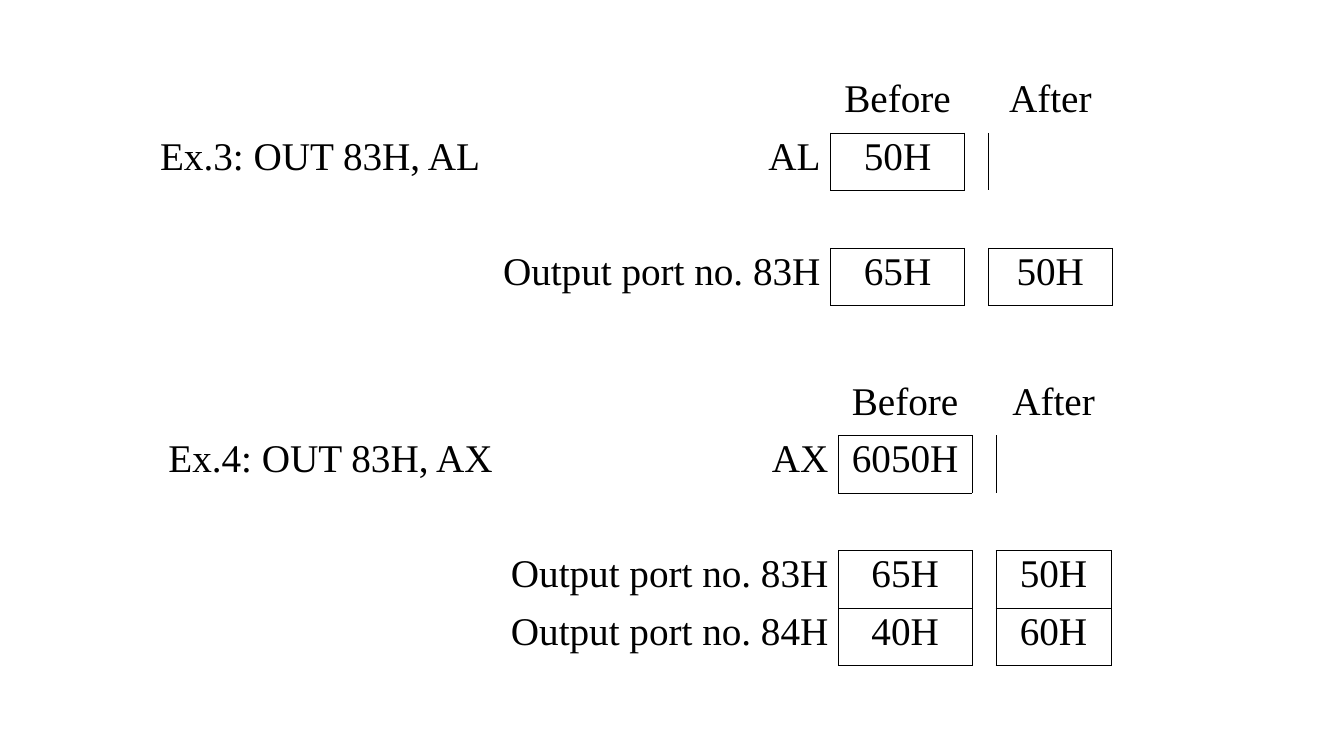
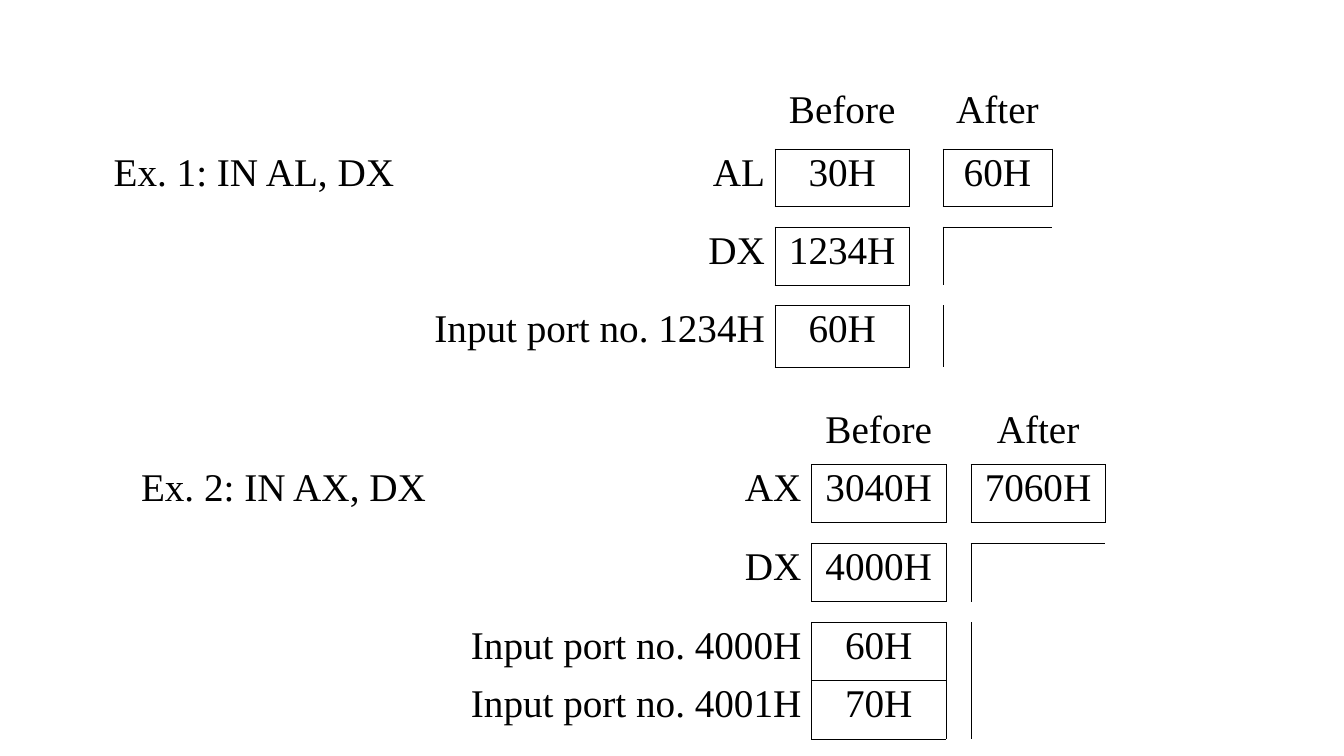
"""Build two slides of before-and-after tables for the IN and OUT instructions."""
from dataclasses import dataclass

from lxml import etree
from pptx import Presentation
from pptx.dml.color import RGBColor
from pptx.enum.text import PP_ALIGN
from pptx.oxml.ns import qn
from pptx.util import Cm, Pt

LEFT, CENTER, RIGHT = PP_ALIGN.LEFT, PP_ALIGN.CENTER, PP_ALIGN.RIGHT
ALIGNMENTS = (LEFT, RIGHT, CENTER, CENTER, CENTER)
VALUE_COLUMNS = (2, 4)
INK = "000000"
BORDER_WIDTH = Pt(0.45)
NO_STYLE = "{2D5ABB26-0587-4C30-8999-92F81FD0307C}"
FONT_FORMAT = {"name": "Times New Roman", "size": Pt(28)}
TABLE_FORMAT = {"first_row": False, "horz_banding": False}
EMPTY_CELL_FORMAT = {"margin_top": 0, "margin_bottom": 0}
EDGES = {"a:lnL": (0, -1), "a:lnR": (0, 1), "a:lnT": (-1, 0), "a:lnB": (1, 0)}


@dataclass(frozen=True)
class Row:
    """One table row: a storage place and its contents."""

    height: float
    place: str = ""
    before: str = ""
    after: str = ""
    instruction: str = ""
    wide_place: bool = False

    def texts(self) -> tuple[str, ...]:
        """Return the five cell texts."""
        if self.wide_place:
            return self.place, "", self.before, "", self.after
        return self.instruction, self.place, self.before, "", self.after


@dataclass(frozen=True)
class Example:
    """A worked instruction with its table position and columns."""

    left: float
    top: float
    columns: tuple[float, ...]
    header_height: float
    rows: tuple[Row, ...]


OUT_EXAMPLES = (
    Example(3.78, 1.9, (9.53, 7.62, 3.38, 0.6, 3.1), 1.45, (
        Row(1.45, "AL", "50H", instruction="Ex.3: OUT 83H, AL"),
        Row(1.45),
        Row(1.45, "Output port no. 83H", "65H", "50H", wide_place=True),
    )),
    Example(3.99, 9.52, (10.36, 6.78, 3.36, 0.61, 2.9), 1.45, (
        Row(1.45, "AX", "6050H", instruction="Ex.4: OUT 83H, AX"),
        Row(1.45),
        Row(1.45, "Output port no. 83H", "65H", "50H", wide_place=True),
        Row(1.45, "Output port no. 84H", "40H", "60H", wide_place=True),
    )),
)
IN_EXAMPLES = (
    Example(2.61, 2.18, (7.7, 9.22, 3.39, 0.84, 2.75), 1.57, (
        Row(1.46, "AL", "30H", "60H", "Ex. 1: IN AL, DX"),
        Row(0.51),
        Row(1.46, "DX", "1234H"),
        Row(0.51),
        Row(1.57, "Input port no. 1234H", "60H"),
    )),
    Example(3.3, 10.23, (8.26, 8.89, 3.39, 0.63, 3.38), 1.47, (
        Row(1.47, "AX", "3040H", "7060H", "Ex. 2: IN AX, DX"),
        Row(0.52),
        Row(1.47, "DX", "4000H"),
        Row(0.52),
        Row(1.47, "Input port no. 4000H", "60H"),
        Row(1.47, "Input port no. 4001H", "70H"),
    )),
)


def apply_format(target, values: dict) -> None:
    """Set each named attribute on the target."""
    for attribute, value in values.items():
        setattr(target, attribute, value)


def color(code: str) -> RGBColor:
    """Turn a hex string into a colour."""
    return RGBColor.from_string(code)


def write_cell(cell, text: str, alignment) -> None:
    """Write the cell text, or keep an empty cell compact."""
    cell.fill.background()
    paragraph = cell.text_frame.paragraphs[0]
    if not text:
        apply_format(cell, EMPTY_CELL_FORMAT)
        etree.SubElement(paragraph._p, qn("a:endParaRPr"), sz="600")
        return
    apply_format(paragraph, {"alignment": alignment, "line_spacing": 0.93})
    run = paragraph.add_run()
    run.text = text
    apply_format(run.font, FONT_FORMAT)
    run.font.color.rgb = color(INK)


def draw_borders(cell, edges: list[str]) -> None:
    """Draw the given edges of a cell."""
    properties = cell._tc.get_or_add_tcPr()
    for position, edge in enumerate(edges):
        line = etree.Element(qn(edge), w=str(int(BORDER_WIDTH)))
        fill = etree.SubElement(line, qn("a:solidFill"))
        etree.SubElement(fill, qn("a:srgbClr"), val=INK)
        properties.insert(position, line)


def add_example(slide, example: Example) -> None:
    """Add one example table with boxed values."""
    header = Row(example.header_height, before="Before", after="After")
    rows = (header, *example.rows)
    table = slide.shapes.add_table(
        len(rows), len(example.columns), Cm(example.left), Cm(example.top),
        Cm(sum(example.columns)), Cm(sum(row.height for row in rows)),
    ).table
    apply_format(table, TABLE_FORMAT)
    table._tbl.tblPr.find(qn("a:tableStyleId")).text = NO_STYLE
    for column, width in zip(table.columns, example.columns):
        column.width = Cm(width)

    boxed = {
        (r, c)
        for r, row in enumerate(rows[1:], 1)
        for c in VALUE_COLUMNS
        if row.texts()[c]
    }
    for r, row in enumerate(rows):
        table.rows[r].height = Cm(row.height)
        if row.wide_place:
            table.cell(r, 0).merge(table.cell(r, 1))
        for c, text in enumerate(row.texts()):
            cell = table.cell(r, c)
            write_cell(cell, text, RIGHT if row.wide_place and c == 0 else ALIGNMENTS[c])
            draw_borders(cell, [
                edge for edge, (down, across) in EDGES.items()
                if boxed & {(r, c), (r + down, c + across)}
            ])


def main() -> None:
    """Build and save the presentation."""
    presentation = Presentation()
    presentation.slide_width, presentation.slide_height = Cm(33.87), Cm(19.05)
    for examples in (OUT_EXAMPLES, IN_EXAMPLES):
        slide = presentation.slides.add_slide(presentation.slide_layouts[6])
        for example in examples:
            add_example(slide, example)
    presentation.save("out.pptx")


if __name__ == "__main__":
    main()
